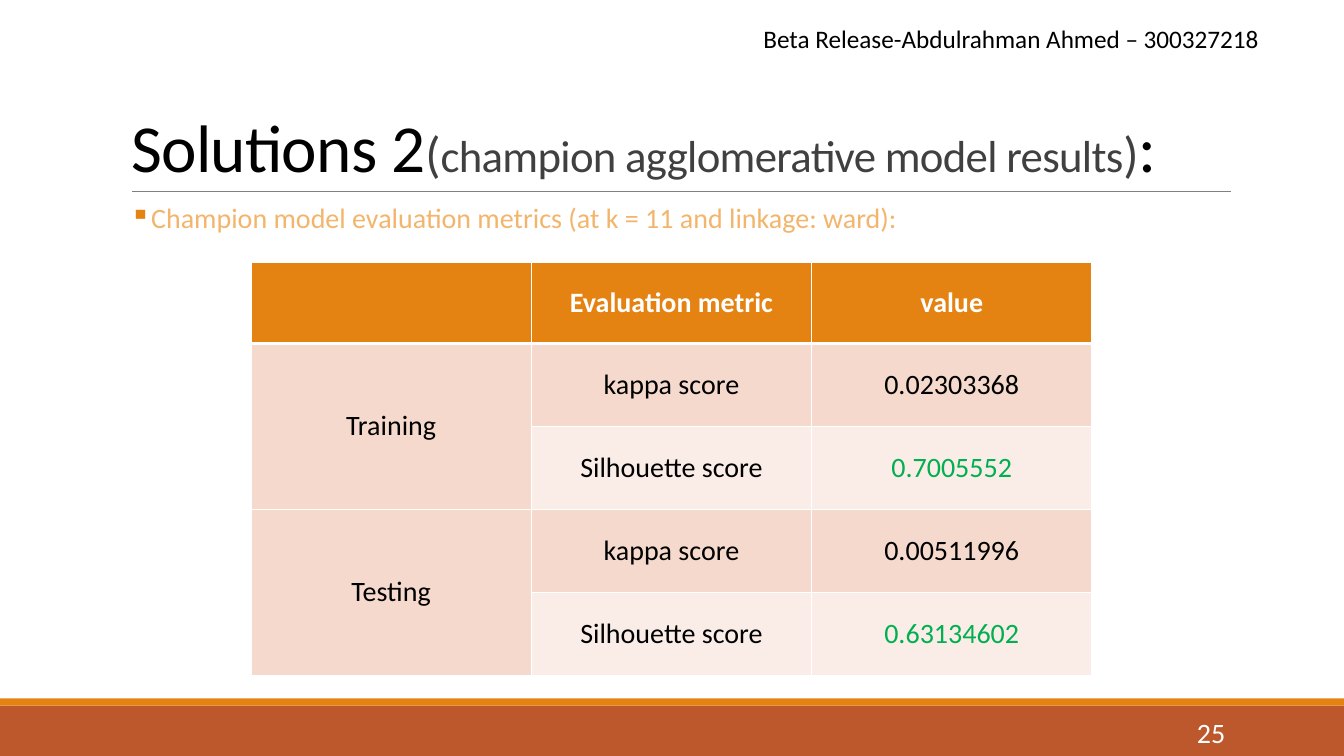
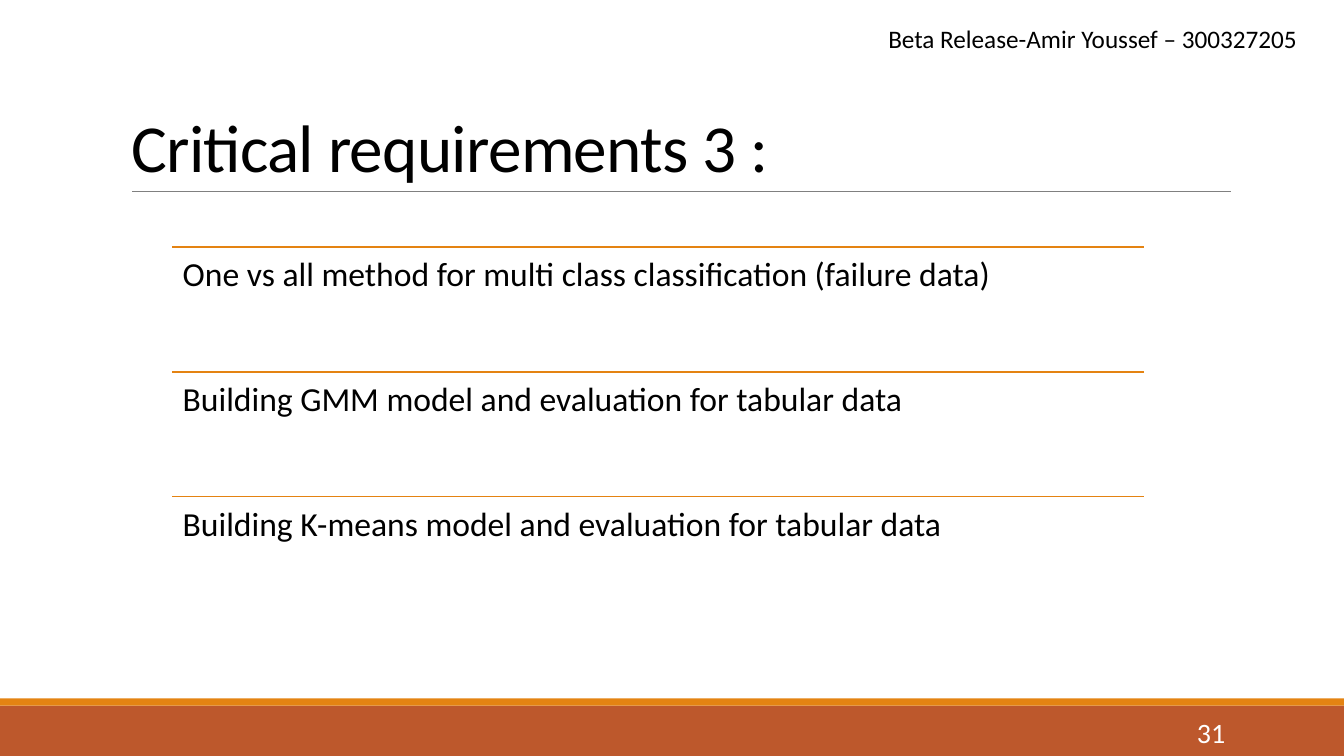
"""Build two project slides: a table of model scores and a list of requirements."""
from lxml import etree
from pptx import Presentation
from pptx import util as u
from pptx.dml.color import RGBColor
from pptx.enum import shapes, text
from pptx.oxml.ns import qn

PX = 9525
FONT = "Calibri"
COLORS = {
    "black": "000000",
    "white": "FFFFFF",
    "gray": "404040",
    "rule": "808080",
    "rust": "BD582C",
    "orange": "E48312",
    "light_orange": "F3B56C",
    "green": "00B050",
    "dark_row": "F5D9CC",
    "light_row": "FAEDE7",
}

SLIDE_SIZE = (1280, 720)
BANDS = [((0, 672, 1280, 48), "rust"), ((0, 665, 1280, 7), "orange")]
TITLE_RULE = (126, 182, 1172, 182)
TITLE_BOX = (115, 30, 1056, 152)
NUMBER_BOX = (1040, 678, 137, 38)

RESULTS = {
    "title": [
        ("Solutions 2", 48, "black"),
        ("(", 36, "gray"),
        ("champion agglomerative model results", 32, "gray"),
        (")", 36, "gray"),
        (":", 48, "black"),
    ],
    "author": "Beta Release-Abdulrahman Ahmed – 300327218",
    "author_box": (717, 17, 538, 68),
    "number": "25",
}
METRICS_HEADING = "Champion model evaluation metrics (at k = 11 and linkage: ward):"
METRICS_BOX = (124, 180, 748, 70)
METRICS = [
    ("", "Evaluation metric", "value"),
    ("Training", "kappa score", "0.02303368"),
    ("", "Silhouette score", "0.7005552"),
    ("Testing", "kappa score", "0.00511996"),
    ("", "Silhouette score", "0.63134602"),
]
TABLE_ORIGIN = (239, 250)
COLUMN_WIDTH = 267
ROW_HEIGHTS = [77, 79, 79, 79, 79]

REQUIREMENTS = {
    "title": [("Critical requirements 3 :", 48, "black")],
    "author": "Beta Release-Amir Youssef – 300327205",
    "author_box": (836, 17, 418, 68),
    "number": "31",
}
REQUIREMENT_ITEMS = [
    "One vs all method for multi class classification (failure data)",
    "Building GMM model and evaluation for tabular data",
    "Building K-means model and evaluation for tabular data",
]
ITEM_LEFT, ITEM_TOP, ITEM_WIDTH, ITEM_HEIGHT = 164, 235, 926, 119


def emu(values):
    return [value * PX for value in values]


def rgb(color):
    return RGBColor.from_string(COLORS[color])


def add_run(paragraph, words, size, color, bold=False, spacing=None):
    run = paragraph.add_run()
    run.text = words
    run.font.name = FONT
    run.font.size = u.Pt(size)
    run.font.bold = bold
    run.font.color.rgb = rgb(color)
    if spacing is not None:
        run._r.get_or_add_rPr().set("spc", str(spacing))


def add_text(slide, box, runs, anchor="TOP", align="LEFT", line_spacing=None,
             margins=(10, 5), spacing=None):
    frame = slide.shapes.add_textbox(*emu(box)).text_frame
    frame.word_wrap = True
    frame.vertical_anchor = text.MSO_ANCHOR[anchor]
    frame.margin_left = frame.margin_right = margins[0] * PX
    frame.margin_top = frame.margin_bottom = margins[1] * PX
    paragraph = frame.paragraphs[0]
    paragraph.alignment = text.PP_ALIGN[align]
    if line_spacing:
        paragraph.line_spacing = line_spacing
    for words, size, color in runs:
        add_run(paragraph, words, size, color, spacing=spacing)
    return paragraph


def add_line(slide, ends, color, width):
    line = slide.shapes.add_connector(shapes.MSO_CONNECTOR.STRAIGHT, *emu(ends))
    line.line.color.rgb = rgb(color)
    line.line.width = u.Pt(width)
    etree.SubElement(line._element.spPr, qn("a:effectLst"))


def add_bullet(paragraph, symbol, color, indent):
    properties = paragraph._p.get_or_add_pPr()
    properties.set("marL", str(indent * PX))
    properties.set("indent", str(-indent * PX))
    bullet_color = etree.SubElement(properties, qn("a:buClr"))
    etree.SubElement(bullet_color, qn("a:srgbClr"), val=COLORS[color])
    etree.SubElement(properties, qn("a:buChar"), char=symbol)


def add_base_slide(presentation, content):
    slide = presentation.slides.add_slide(presentation.slide_layouts[6])
    for box, color in BANDS:
        band = slide.shapes.add_shape(shapes.MSO_SHAPE.RECTANGLE, *emu(box))
        band.shadow.inherit = False
        band.fill.solid()
        band.fill.fore_color.rgb = rgb(color)
        band.line.fill.background()
    add_line(slide, TITLE_RULE, "rule", 0.5)
    add_text(slide, TITLE_BOX, content["title"], "BOTTOM", line_spacing=0.85, spacing=-50)
    add_text(slide, content["author_box"], [(content["author"], 18, "black")])
    add_text(slide, NUMBER_BOX, [(content["number"], 20, "white")], "MIDDLE", "RIGHT")
    return slide


def set_borders(cell, widths):
    properties = cell._tc.get_or_add_tcPr()
    for position, (side, width) in enumerate(widths.items()):
        border = etree.Element(qn(f"a:ln{side}"), w=str(u.Pt(width)))
        fill = etree.SubElement(border, qn("a:solidFill"))
        etree.SubElement(fill, qn("a:srgbClr"), val=COLORS["white"])
        properties.insert(position, border)


def style_cell(cell, words, row, column):
    header = row == 0
    if header:
        fill, color = "orange", "white"
    else:
        fill = "dark_row" if row % 2 or column == 0 else "light_row"
        color = "green" if column == 2 and row % 2 == 0 else "black"
    cell.fill.solid()
    cell.fill.fore_color.rgb = rgb(fill)
    cell.vertical_anchor = text.MSO_ANCHOR.MIDDLE
    set_borders(cell, {"L": 1, "R": 1, "T": 3 if row == 1 else 1, "B": 3 if header else 1})
    if words:
        paragraph = cell.text_frame.paragraphs[0]
        paragraph.alignment = text.PP_ALIGN.CENTER
        add_run(paragraph, words, 20, color, bold=header)


def add_metrics_table(slide):
    columns = len(METRICS[0])
    box = (*TABLE_ORIGIN, COLUMN_WIDTH * columns, sum(ROW_HEIGHTS))
    table = slide.shapes.add_table(len(METRICS), columns, *emu(box)).table
    table.horz_banding = False
    for column in table.columns:
        column.width = COLUMN_WIDTH * PX
    for row, height in zip(table.rows, ROW_HEIGHTS):
        row.height = height * PX
    for row, values in enumerate(METRICS):
        for column, words in enumerate(values):
            style_cell(table.cell(row, column), words, row, column)
    for row in range(1, len(METRICS), 2):
        table.cell(row, 0).merge(table.cell(row + 1, 0))


def add_results_slide(presentation):
    slide = add_base_slide(presentation, RESULTS)
    add_metrics_table(slide)
    heading = add_text(slide, METRICS_BOX, [(METRICS_HEADING, 20, "light_orange")],
                       line_spacing=1.2, margins=(0, 5))
    add_bullet(heading, "▪", "orange", 10)


def add_requirements_slide(presentation):
    slide = add_base_slide(presentation, REQUIREMENTS)
    for index, words in enumerate(REQUIREMENT_ITEMS):
        top = ITEM_TOP + index * ITEM_HEIGHT
        add_line(slide, (ITEM_LEFT, top, ITEM_LEFT + ITEM_WIDTH, top), "orange", 1.25)
        add_text(slide, (ITEM_LEFT, top, ITEM_WIDTH, ITEM_HEIGHT), [(words, 24, "black")],
                 line_spacing=0.9, margins=(10, 10))


def main():
    presentation = Presentation()
    presentation.slide_width, presentation.slide_height = emu(SLIDE_SIZE)
    add_results_slide(presentation)
    add_requirements_slide(presentation)
    presentation.save("out.pptx")


if __name__ == "__main__":
    main()
